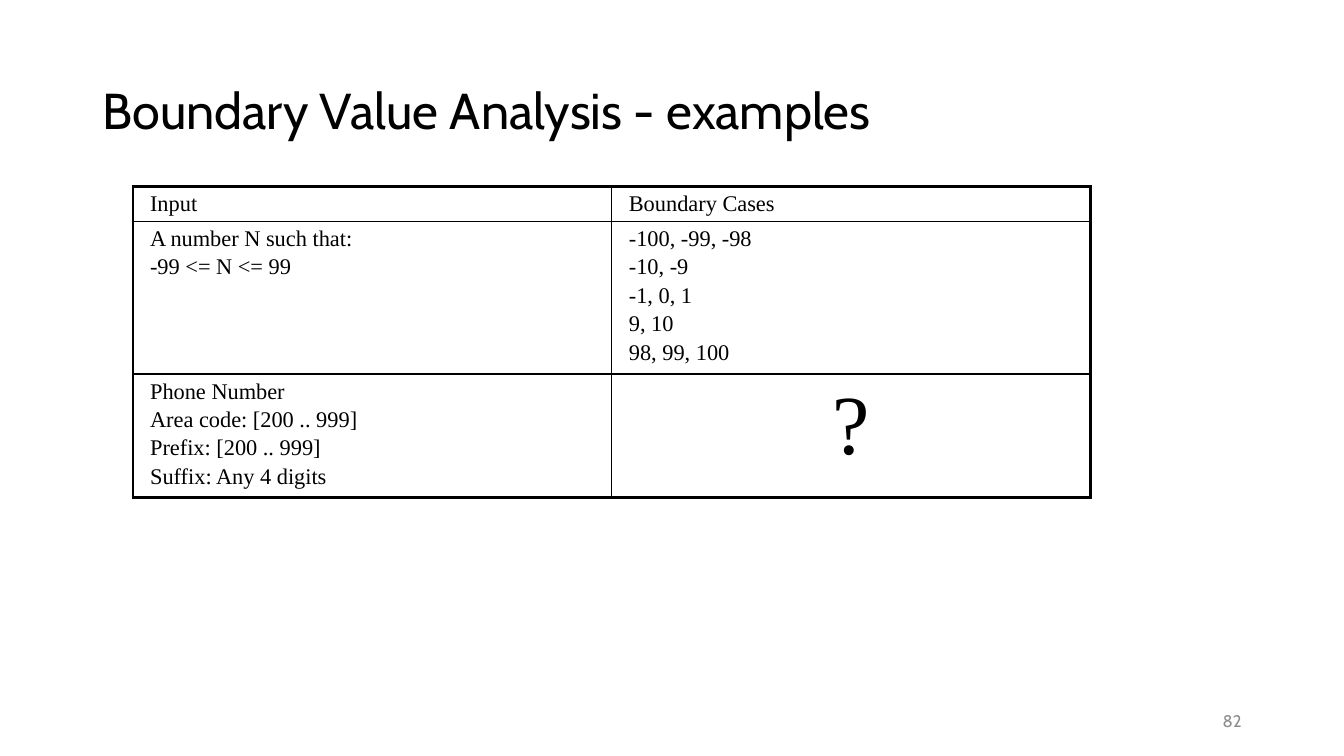
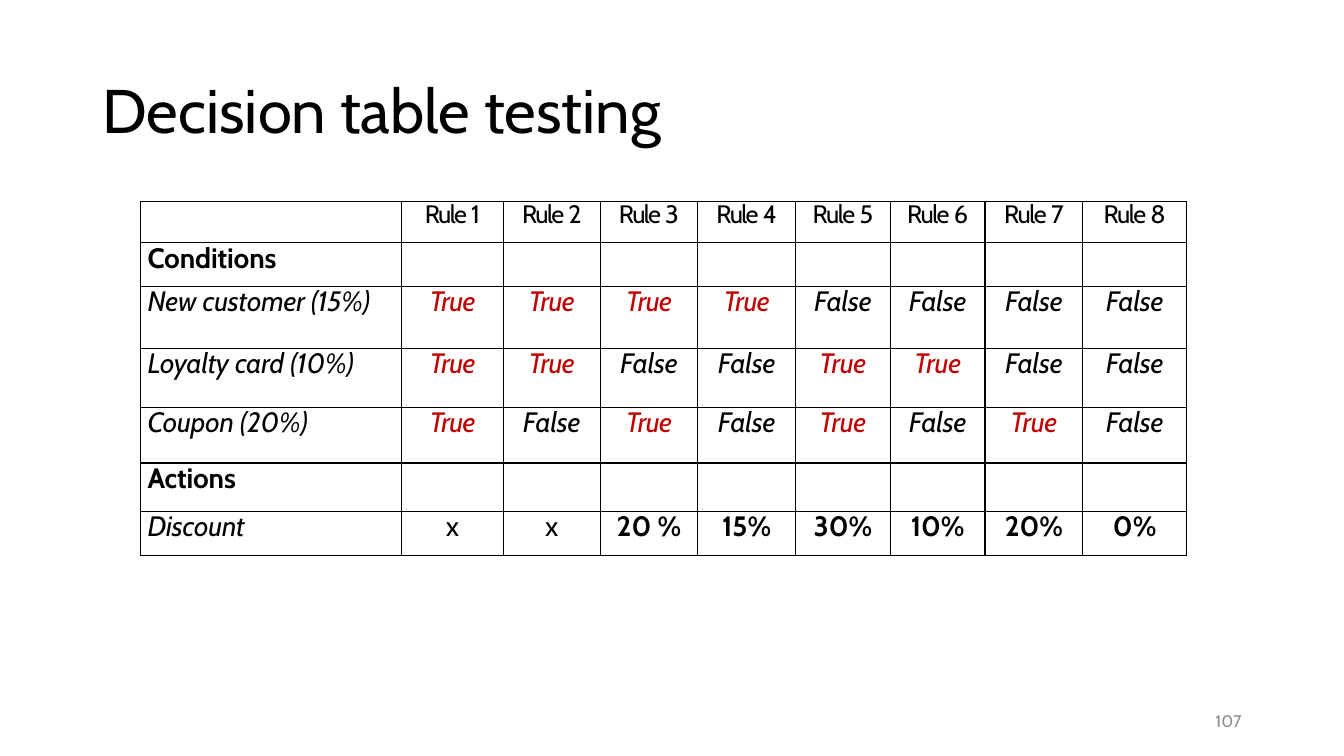
from lxml import etree
from pptx import Presentation
from pptx.dml.color import RGBColor
from pptx.enum import text as tx
from pptx.oxml import ns
from pptx.util import Pt

COLORS = {"ink": "000000", "true": "C00000", "number": "8C8C8C"}
SANS, SERIF = "Cabin", "Times New Roman"
LEFT, CENTER, RIGHT = tx.PP_ALIGN.LEFT, tx.PP_ALIGN.CENTER, tx.PP_ALIGN.RIGHT
TITLE_BOX = (66, 28.8, 828, 104.4)
NUMBER_BOX = (678, 500.4, 216, 28.8)

BOUNDARY = {
    "title": "Boundary Value Analysis - examples", "title_size": 36, "number": "82",
    "origin": (95, 133.2), "columns": [342, 342], "rows": [25, 109, 88],
    "margins": (12.24, 3.6), "outer": 2.25,
    "cells": [
        [["Input"], ["Boundary Cases"]],
        [["A number N such that:", "-99 <= N <= 99"],
         ["-100, -99, -98", "-10, -9", "-1, 0, 1", "9, 10", "98, 99, 100"]],
        [["Phone Number", "Area code: [200 .. 999]", "Prefix: [200 .. 999]",
          "Suffix: Any 4 digits"], ["?"]],
    ],
}
T, F = "True", "False"
DECISION = {
    "title": "Decision table testing", "title_size": 44, "number": "107",
    "origin": (100.4, 144),
    "columns": [186.5, 72.7, 69.1, 69.8, 69.8, 67.7, 67.7, 69.8, 74.2],
    "rows": [29.5, 31, 44.6, 41.8, 39.9, 34.9, 31],
    "margins": (0, 0), "outer": 1,
    "cells": [
        [""] + [f"Rule {n}" for n in range(1, 9)],
        ["Conditions"] + [""] * 8,
        ["New customer (15%)", T, T, T, T, F, F, F, F],
        ["Loyalty card (10%)", T, T, F, F, T, T, F, F],
        ["Coupon (20%)", T, F, T, F, T, F, T, F],
        ["Actions"] + [""] * 8,
        ["Discount", "x", "x", "20 %", "15%", "30%", "10%", "20%", "0%"],
    ],
}


def add_text(paragraph, words, size, face=SANS, color="ink", spacing=0, **looks):
    """Add a run; spacing is the letter spacing in points."""
    run = paragraph.add_run()
    run.text = words
    for key, value in {"size": Pt(size), "name": face, **looks}.items():
        setattr(run.font, key, value)
    run.font.color.rgb = RGBColor.from_string(COLORS[color])
    if spacing:
        run._r.get_or_add_rPr().set("spc", str(round(spacing * 100)))


def place(shape, box):
    for side, value in zip(("left", "top", "width", "height"), box):
        setattr(shape, side, Pt(value))


def add_page(deck, content):
    """Add a slide with its title and page number."""
    slide = deck.slides.add_slide(deck.slide_layouts[5])
    title = slide.shapes.title
    place(title, TITLE_BOX)
    number = slide.shapes.add_textbox(*map(Pt, NUMBER_BOX))
    for shape, align in ((title, LEFT), (number, RIGHT)):
        frame = shape.text_frame
        frame.word_wrap = True
        frame.auto_size = tx.MSO_AUTO_SIZE.NONE
        frame.vertical_anchor = tx.MSO_ANCHOR.MIDDLE
        frame.paragraphs[0].alignment = align
    heading = title.text_frame.paragraphs[0]
    heading.line_spacing = 0.9
    add_text(heading, content["title"], content["title_size"])
    add_text(number.text_frame.paragraphs[0], content["number"], 12, color="number")
    return slide


def set_borders(cell, widths):
    """Draw the borders, given in the order left, right, top, bottom."""
    props = cell._tc.get_or_add_tcPr()
    for index, (side, width) in enumerate(zip("LRTB", widths)):
        line = etree.Element(ns.qn(f"a:ln{side}"), w=str(Pt(width)))
        fill = etree.SubElement(line, ns.qn("a:solidFill"))
        etree.SubElement(fill, ns.qn("a:srgbClr"), val=COLORS["ink"])
        props.insert(index, line)


def add_grid(slide, content, fill_cell):
    columns, rows = content["columns"], content["rows"]
    box = (*content["origin"], sum(columns), sum(rows))
    table = slide.shapes.add_table(len(rows), len(columns), *map(Pt, box)).table
    table.first_row = table.horz_banding = False
    for column, width in zip(table.columns, columns):
        column.width = Pt(width)
    across, down = map(Pt, content["margins"])
    last_row, last_column = len(rows) - 1, len(columns) - 1
    for r, height in enumerate(rows):
        table.rows[r].height = Pt(height)
        for c, value in enumerate(content["cells"][r]):
            cell = table.cell(r, c)
            cell.margin_left = cell.margin_right = across
            cell.margin_top = cell.margin_bottom = down
            cell.fill.background()
            edges = (c == 0, c == last_column, r == 0, r == last_row)
            set_borders(cell, [content["outer"] if edge else 1 for edge in edges])
            if value:
                fill_cell(cell.text_frame, value, r, c)


def fill_boundary(frame, lines, row, column):
    for index, line in enumerate(lines):
        paragraph = frame.add_paragraph() if index else frame.paragraphs[0]
        if index:
            paragraph.space_before = Pt(2.5)
        unknown = line == "?"
        paragraph.alignment = CENTER if unknown else LEFT
        add_text(paragraph, line, 60 if unknown else 16, SERIF)


def fill_decision(frame, words, row, column):
    paragraph = frame.paragraphs[0]
    section = words in ("Conditions", "Actions")
    paragraph.line_spacing = Pt(20.4 if row == 0 else 23.4 if section else 22.8)
    if column:
        paragraph.alignment = CENTER
    else:
        paragraph._p.get_or_add_pPr().set("marL", str(Pt(5)))
    if row == 0:
        add_text(paragraph, words[:-1], 18, spacing=-1.1 if column < 5 else -1)
        add_text(paragraph, words[-1], 18, spacing=-0.3)
        return
    truth = words == T
    spacing = 0 if row == 6 and column else -0.1
    if truth:
        spacing = -0.4 if column < 5 else -0.2
    add_text(paragraph, words, 20, color="true" if truth else "ink", spacing=spacing,
             bold=section or (column > 0 and words.endswith("%")),
             italic=words in (T, F) or (column == 0 and not section))


def main():
    deck = Presentation()
    deck.slide_width, deck.slide_height = Pt(960), Pt(540)
    for content, fill_cell in ((BOUNDARY, fill_boundary), (DECISION, fill_decision)):
        add_grid(add_page(deck, content), content, fill_cell)
    deck.save("out.pptx")


if __name__ == "__main__":
    main()
